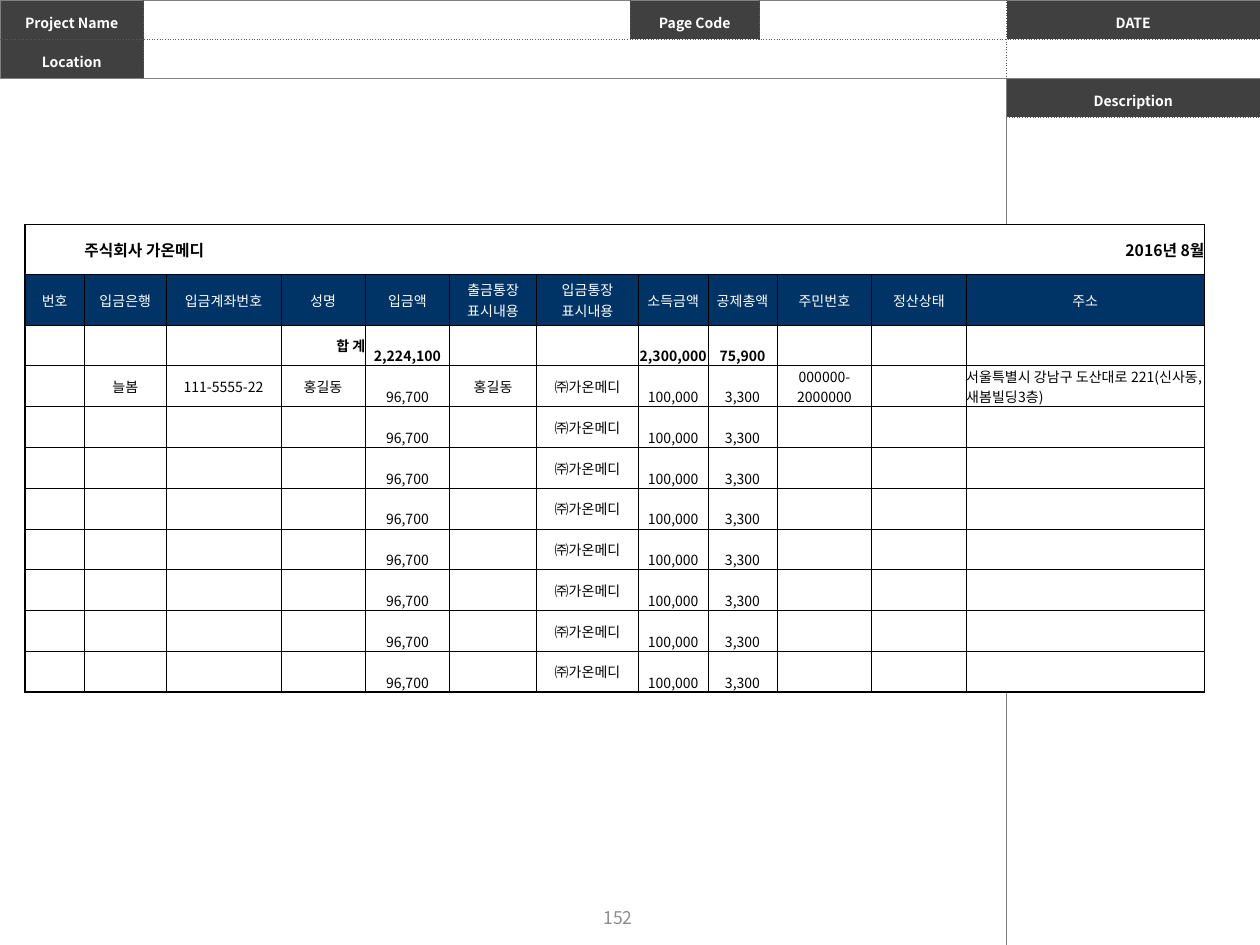
from lxml.etree import SubElement
from pptx import Presentation
from pptx.dml.color import RGBColor
from pptx.enum.text import MSO_ANCHOR, PP_ALIGN
from pptx.oxml import parse_xml
from pptx.oxml.ns import nsdecls, qn
from pptx.util import Inches, Pt

FONT = "Noto Sans CJK KR"
SOLID = ("808080", 0.5, "solid")
DOTS = ("595959", 0.5, "sysDot")
THICK = ("000000", 1, "solid")
THIN = ("000000", 0.5, "solid")
WIDE, TALL = 100, 75
HEADS = ["번호", "입금은행", "입금계좌번호", "성명", "입금액", "출금통장 표시내용",
         "입금통장 표시내용", "소득금액", "공제총액", "주민번호", "정산상태", "주소"]
TOTAL = {3: "합 계", 4: "2,224,100", 7: "2,300,000", 8: "75,900"}
PAY = {4: "96,700", 6: "㈜가온메디", 7: "100,000", 8: "3,300"}
PAYEE = {1: "늘봄", 2: "111-5555-22", 3: "홍길동", 5: "홍길동", 9: "000000-2000000",
         11: "서울특별시 강남구 도산대로 221(신사동,새봄빌딩3층)"}
SUMS = (4, 7, 8)


def grid(n):
    return Inches(n / 10)


def tint(code):
    return RGBColor.from_string(code)


def write(frame, text, size=8, color="000000", bold=False, align=PP_ALIGN.CENTER, gap=None):
    frame.word_wrap = True
    para = frame.paragraphs[0]
    para.alignment = align
    if gap:
        para.line_spacing = gap
    if text:
        run = para.add_run()
        run.text = text
        run.font.size = Pt(size)
        run.font.bold = bold
        run.font.color.rgb = tint(color)
        run.font.name = FONT
        SubElement(run.font._element, qn("a:ea"), typeface=FONT)
    else:
        SubElement(para._p, qn("a:endParaRPr"), sz=str(size * 100))


def edge(cell, side, style):
    if style:
        color, width, dash = style
        body = (f'<a:solidFill><a:srgbClr val="{color}"/></a:solidFill>'
                f'<a:prstDash val="{dash}"/>')
        size = int(Pt(width))
    else:
        body, size = "<a:noFill/>", 0
    return parse_xml(f'<a:ln{side} {nsdecls("a")} w="{size}">{body}</a:ln{side}>')


def frame(table, outer, inner, bare=()):
    rows, cols = len(table.rows), len(table.columns)
    for r in range(rows):
        for c in range(cols):
            cell = table.cell(r, c)
            mid = None if r in bare else inner
            sides = {"L": mid if c else outer,
                     "R": mid if c < cols - 1 else outer,
                     "T": inner if r else outer,
                     "B": inner if r < rows - 1 else outer}
            props = cell._tc.get_or_add_tcPr()
            for i, (side, style) in enumerate(sides.items()):
                props.insert(i, edge(cell, side, style))


def lay(slide, box, cols, rows):
    shape = slide.shapes.add_table(len(rows), len(cols), *map(grid, box))
    table = shape.table
    table.first_row = table.horz_banding = False
    for col, width in zip(table.columns, cols):
        col.width = grid(width)
    for row, height in zip(table.rows, rows):
        row.height = grid(height)
    return table


def fill(cell, text="", back=None, pad=0, anchor=MSO_ANCHOR.MIDDLE, **style):
    cell.margin_left = cell.margin_right = grid(pad)
    cell.margin_top = cell.margin_bottom = grid(pad)
    cell.vertical_anchor = anchor
    if back:
        cell.fill.solid()
        cell.fill.fore_color.rgb = tint(back)
    else:
        cell.fill.background()
    write(cell.text_frame, text, **style)


def label(cell, text):
    fill(cell, text, back="404040" if text else None, pad=0.4,
         color="FFFFFF", bold=True, gap=1.3)


def banner(slide, box):
    table = lay(slide, box, [11.4, 38.6, 10.3, 19.6, 20.1], [box[3] / 2] * 2)
    names = {(0, 0): "Project Name", (0, 2): "Page Code", (0, 4): "DATE", (1, 0): "Location"}
    for r in range(2):
        for c in range(5):
            label(table.cell(r, c), names.get((r, c), ""))
    frame(table, SOLID, DOTS)
    table.cell(1, 1).merge(table.cell(1, 3))


def panel(slide, box):
    table = lay(slide, box, [box[2]], [3.1, box[3] - 3.1])
    label(table.cell(0, 0), "Description")
    label(table.cell(1, 0), "")
    frame(table, SOLID, DOTS)


def ledger(slide, box):
    cols = [4.7, 6.5, 9.1, 6.7, 6.7, 6.9, 8.1, 5.5, 5.5, 7.5, 7.5, 18.9]
    table = lay(slide, box, cols, [4, 4] + [3.24] * 9)
    title = {1: "주식회사 가온메디", 11: "2016년 8월"}
    for c, head in enumerate(HEADS):
        fill(table.cell(0, c), title.get(c, ""), back="FFFFFF", size=9, bold=True,
             align=PP_ALIGN.RIGHT if c == 11 else PP_ALIGN.LEFT)
        fill(table.cell(1, c), head, back="003366", color="FFFFFF")
    for r, line in enumerate([TOTAL, PAY | PAYEE] + [PAY] * 7, 2):
        for c in range(len(cols)):
            align = PP_ALIGN.LEFT if c == 11 else PP_ALIGN.CENTER
            if line is TOTAL and c == 3:
                align = PP_ALIGN.RIGHT
            fill(table.cell(r, c), line.get(c, ""), back="FFFFFF", align=align,
                 anchor=MSO_ANCHOR.BOTTOM if c in SUMS else MSO_ANCHOR.MIDDLE,
                 bold=line is TOTAL)
    frame(table, THICK, THIN, bare=(0,))
    table.cell(0, 1).merge(table.cell(0, 2))


def folio(slide, box):
    text = slide.shapes.add_textbox(*map(grid, box)).text_frame
    text.vertical_anchor = MSO_ANCHOR.MIDDLE
    write(text, "152", size=10, color="8C8C8C")


def main():
    deck = Presentation()
    deck.slide_width, deck.slide_height = grid(WIDE), grid(TALL)
    slide = deck.slides.add_slide(deck.slide_layouts[6])
    banner(slide, (0, 0, WIDE, 6.2))
    panel(slide, (79.9, 6.2, 20.1, TALL - 6.2))
    ledger(slide, (2, 17.8, 93.7, 37.16))
    folio(slide, (37.4, 70.8, 23.3, 4))
    deck.save("out.pptx")


if __name__ == "__main__":
    main()
